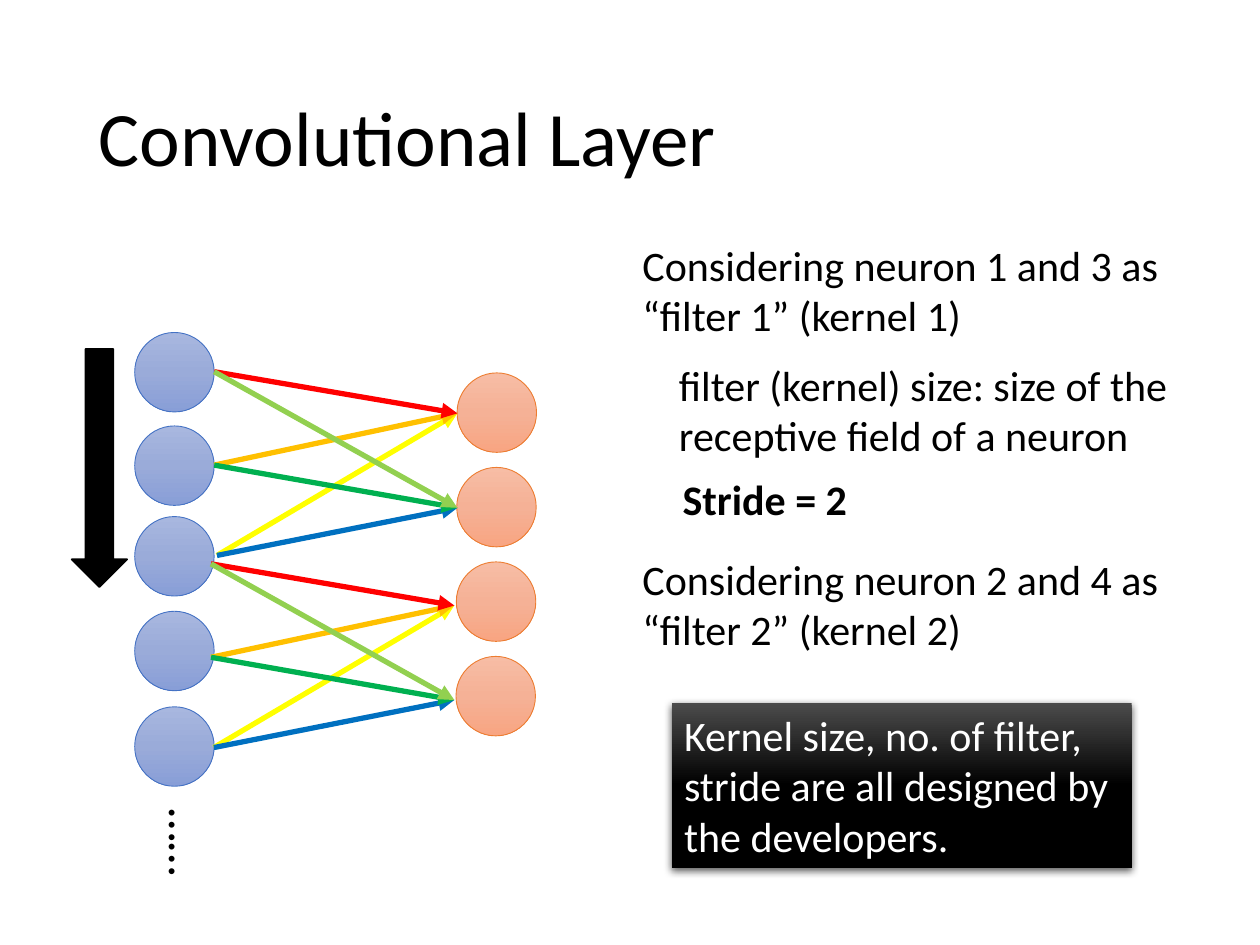
import copy
from collections import namedtuple
from dataclasses import dataclass

import lxml.etree
import pptx
import pptx.dml.color
import pptx.enum.shapes
import pptx.enum.text
import pptx.oxml
import pptx.oxml.ns
import pptx.util

Pt = pptx.util.Pt
Shape = pptx.enum.shapes.MSO_SHAPE
Align = pptx.enum.text.PP_ALIGN
Anchor = pptx.enum.text.MSO_ANCHOR
qn = pptx.oxml.ns.qn
Box = namedtuple("Box", "left top width height")


@dataclass(frozen=True)
class Theme:
    font: str = "Calibri"
    title_size: float = 44
    dots_size: float = 28
    body_size: float = 24
    ink: str = "000000"
    paper: str = "FFFFFF"
    input_fill: tuple = ("A8B7DF", "9AABD9", "889ED7")
    input_line: str = "4472C4"
    output_fill: tuple = ("F7BDA5", "F5B196", "F8A582")
    output_line: str = "ED7D31"
    callout_fill: tuple = ("4B4B4B", "000000", "000000")
    filter_1: tuple = ("FF0000", "FFC000", "FFFF00")
    filter_2: tuple = ("92D050", "00B050", "0070C0")


THEME = Theme()


def rgb(color):
    return pptx.dml.color.RGBColor.from_string(color)


def write_text(shape, text, size=THEME.body_size, color=THEME.ink, bold=False,
               align=Align.LEFT, anchor=Anchor.TOP, line_spacing=None):
    frame = shape.text_frame
    frame.word_wrap = True
    frame.vertical_anchor = anchor
    paragraph = frame.paragraphs[0]
    paragraph.text = text
    paragraph.alignment = align
    paragraph.line_spacing = line_spacing
    font = paragraph.font
    font.name, font.size, font.bold = THEME.font, Pt(size), bold
    font.color.rgb = rgb(color)


def add_textbox(slide, box, text, **text_format):
    shape = slide.shapes.add_textbox(*map(Pt, box))
    write_text(shape, text, **text_format)
    return shape


def fill_gradient(shape, colors):
    shape.fill.gradient()
    shape.fill.gradient_angle = 270
    stop_list = shape._element.spPr.find(".//" + qn("a:gsLst"))
    stop_list.append(copy.deepcopy(stop_list[-1]))
    for index, (stop, color) in enumerate(zip(shape.fill.gradient_stops, colors)):
        stop.position = index / (len(colors) - 1)
        stop.color.rgb = rgb(color)


def add_preset(slide, kind, box, line=None, line_width=0.5):
    shape = slide.shapes.add_shape(kind, *map(Pt, box))
    shape.shadow.inherit = False
    if line:
        shape.line.color.rgb = rgb(line)
        shape.line.width = Pt(line_width)
    else:
        shape.line.fill.background()
    return shape


def add_neuron(slide, left, top, fill, line):
    neuron = add_preset(slide, Shape.OVAL, Box(left, top, 45.4, 45.4), line)
    fill_gradient(neuron, fill)


def add_edge(slide, start, end, color):
    edge = slide.shapes.add_connector(
        pptx.enum.shapes.MSO_CONNECTOR.STRAIGHT, *map(Pt, start + end))
    edge.line.color.rgb = rgb(color)
    edge.line.width = Pt(3)
    lxml.etree.SubElement(edge.line._get_or_add_ln(), qn("a:tailEnd"), type="triangle")
    lxml.etree.SubElement(edge._element.spPr, qn("a:effectLst"))


def add_title(slide, box):
    add_textbox(slide, box, "Convolutional Layer", size=THEME.title_size,
                anchor=Anchor.MIDDLE, line_spacing=0.9)


def add_network(slide, box):
    left, top = box.left, box.top
    for offset in (0, 53.4, 105.2, 159.3, 213.9):
        add_neuron(slide, left + 36, top + offset, THEME.input_fill, THEME.input_line)
    for row in range(4):
        add_neuron(slide, left + 220.2 - 0.2 * row, top + 23.1 + 54 * row,
                   THEME.output_fill, THEME.output_line)

    starts = ((81.4, 22.4), (81.4, 75.8), (83, 127.4))
    filters = ((THEME.filter_1, (220.4, 46.2)), (THEME.filter_2, (220.4, 100.2)))
    for shift_x, shift_y in ((0, 0), (-1.8, 109.8)):
        for colors, (end_x, end_y) in filters:
            end = (left + end_x + shift_x, top + end_y + shift_y)
            for (start_x, start_y), color in reversed(list(zip(starts, colors))):
                start = (left + start_x + shift_x, top + start_y + shift_y)
                add_edge(slide, start, end, color)

    arrow = add_preset(slide, Shape.DOWN_ARROW, Box(left, top + 9.4, 31.7, 136.1),
                       THEME.ink, 1)
    arrow.fill.solid()
    arrow.fill.fore_color.rgb = rgb(THEME.ink)
    dots = add_textbox(slide, Box(left + 32.4, top + 270.8, 68.4, 41), "……",
                       size=THEME.dots_size, align=Align.CENTER)
    dots.rotation = 90


def add_notes(slide, box):
    notes = (
        (0, 0, 310.3, "Considering neuron 1 and 3 as “filter 1” (kernel 1)", False),
        (20.9, 68.4, 310.3, "filter (kernel) size: size of the receptive field of a neuron", False),
        (23, 133.9, 125.3, "Stride = 2", True),
        (0, 179.3, 310.3, "Considering neuron 2 and 4 as “filter 2” (kernel 2)", False),
    )
    for indent, offset, width, text, bold in notes:
        height = 36 if bold else 65.5
        add_textbox(slide, Box(box.left + indent, box.top + offset, width, height),
                    text, bold=bold)


def add_callout(slide, box):
    callout = add_preset(slide, Shape.RECTANGLE, box)
    fill_gradient(callout, THEME.callout_fill)
    effects = callout._element.spPr.find(qn("a:effectLst"))
    shadow = lxml.etree.SubElement(
        effects, qn("a:outerShdw"), blurRad=str(Pt(4.5)), dist=str(Pt(1.5)),
        dir="5400000", algn="ctr", rotWithShape="0")
    shade = lxml.etree.SubElement(shadow, qn("a:srgbClr"), val=THEME.ink)
    lxml.etree.SubElement(shade, qn("a:alpha"), val="63000")
    write_text(callout, "Kernel size, no. of filter, stride are all designed by the developers.",
               color=THEME.paper)


def main():
    presentation = pptx.Presentation()
    presentation.slide_width, presentation.slide_height = Pt(720), Pt(540)
    slide = presentation.slides.add_slide(presentation.slide_layouts[6])
    add_title(slide, Box(49.5, 28.8, 621, 104.4))
    add_network(slide, Box(41, 190, 266, 312))
    add_notes(slide, Box(360, 133.2, 331.2, 244.8))
    add_callout(slide, Box(383.8, 401.8, 262.8, 94.3))
    presentation.save("out.pptx")


if __name__ == "__main__":
    main()
